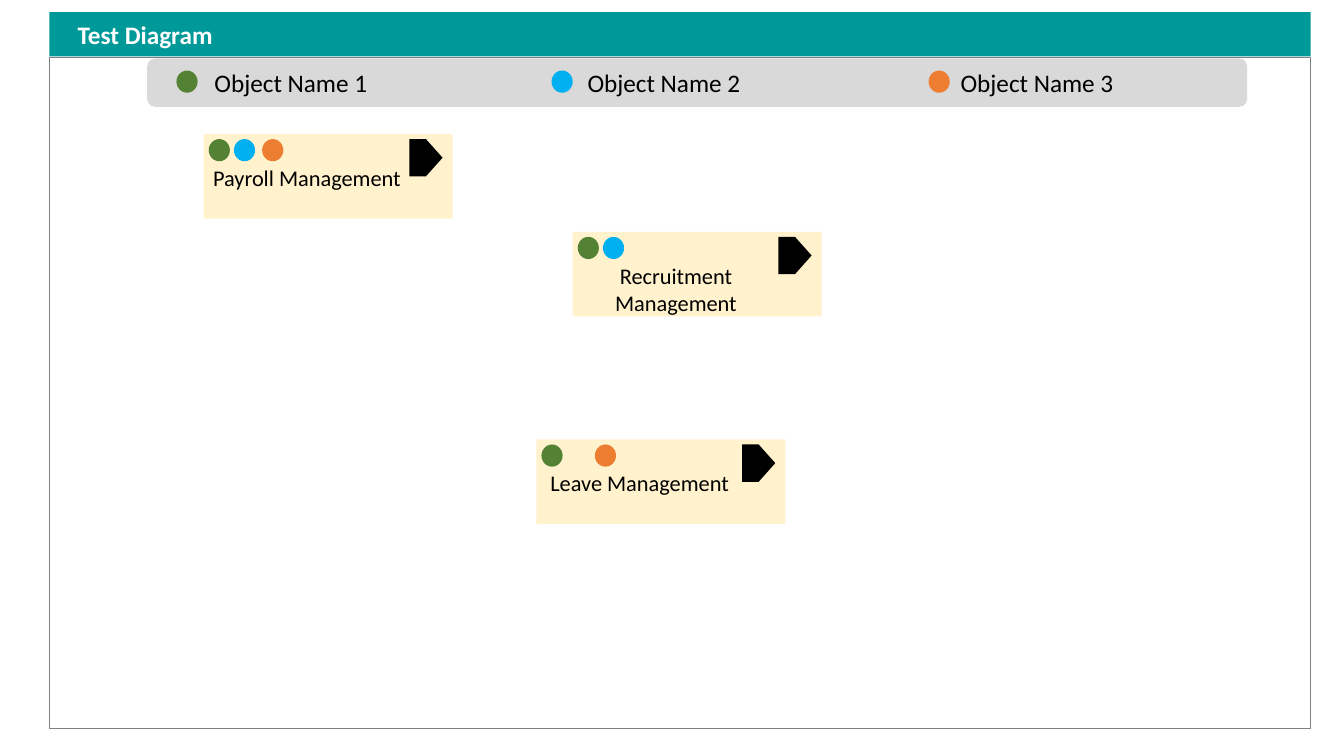
from pptx import Presentation
from pptx.dml import color
from pptx.enum import shapes, text
from pptx.util import Inches, Pt

KIND = shapes.MSO_SHAPE
GREEN, BLUE, ORANGE = "548235", "00B0F0", "ED7D31"


def draw(home, kind, x, y, w, h, fill):
    shape = home.add_shape(kind, Inches(x), Inches(y), Inches(w), Inches(h))
    shape.shadow.inherit = False
    shape.line.fill.background()
    shape.fill.solid()
    shape.fill.fore_color.rgb = color.RGBColor.from_string(fill)
    return shape


def label(home, words, x, y, w, h, size, wrap):
    box = home.add_textbox(Inches(x), Inches(y), Inches(w), Inches(h))
    frame = box.text_frame
    frame.word_wrap = wrap
    frame.auto_size = text.MSO_AUTO_SIZE.SHAPE_TO_FIT_TEXT
    frame.text = words
    line = frame.paragraphs[0]
    line.alignment = text.PP_ALIGN.CENTER
    line.font.size = Pt(size)
    line.font.name = "Calibri"
    line.font.color.rgb = color.RGBColor.from_string("000000")


deck = Presentation()
deck.slide_width = Inches(13.33)
deck.slide_height = Inches(7.5)
slide = deck.slides.add_slide(deck.slide_layouts[5])

title = slide.shapes.title
title.left, title.top = Inches(0.49), Inches(0.12)
title.width, title.height = Inches(12.51), Inches(0.44)
title.fill.solid()
title.fill.fore_color.rgb = color.RGBColor.from_string("009999")
frame = title.text_frame
frame.text = "Test Diagram"
frame.auto_size = text.MSO_AUTO_SIZE.NONE
frame.vertical_anchor = text.MSO_ANCHOR.MIDDLE
frame.margin_left = Inches(0.28)
frame.margin_top = frame.margin_bottom = 0
head = frame.paragraphs[0]
head.alignment = text.PP_ALIGN.LEFT
head.font.size = Pt(18)
head.font.bold = True
head.font.name = "Calibri"
head.font.color.rgb = color.RGBColor.from_string("FFFFFF")

cards = [
    ("Payroll Management", 2.02, 1.33, 0.37, [GREEN, BLUE, ORANGE]),
    ("Recruitment Management", 5.68, 2.3, 0.64, [GREEN, BLUE]),
    ("Leave Management", 5.32, 4.36, 0.37, [GREEN, ORANGE]),
]
slots = {GREEN: 0.05, BLUE: 0.3, ORANGE: 0.58}
for name, x, y, tall, dots in cards:
    group = slide.shapes.add_group_shape().shapes
    draw(group, KIND.RECTANGLE, x, y, 2.47, 0.84, "FFF2CC")
    draw(group, KIND.PENTAGON, x + 2.04, y + 0.05, 0.33, 0.37, "000000")
    label(group, name, x - 0.06, y + 0.25, 2.17, tall, 16, True)
    for dot in dots:
        draw(group, KIND.FLOWCHART_CONNECTOR, x + slots[dot], y + 0.05, 0.21, 0.22, dot)

border = draw(slide.shapes, KIND.RECTANGLE, 0.49, 0.57, 12.51, 6.66, "FFFFFF")
border.fill.background()
border.line.color.rgb = color.RGBColor.from_string("808080")
border.line.width = Pt(1)

draw(slide.shapes, KIND.ROUNDED_RECTANGLE, 1.46, 0.58, 10.91, 0.48, "D9D9D9")
for i, (dot, x) in enumerate([(GREEN, 1.75), (BLUE, 5.47), (ORANGE, 9.21)]):
    draw(slide.shapes, KIND.FLOWCHART_CONNECTOR, x, 0.7, 0.21, 0.22, dot)
    label(slide.shapes, f"Object Name {i + 1}", 2.02 + 3.7 * i, 0.62, 1.73, 0.4, 18, False)

deck.save("out.pptx")
